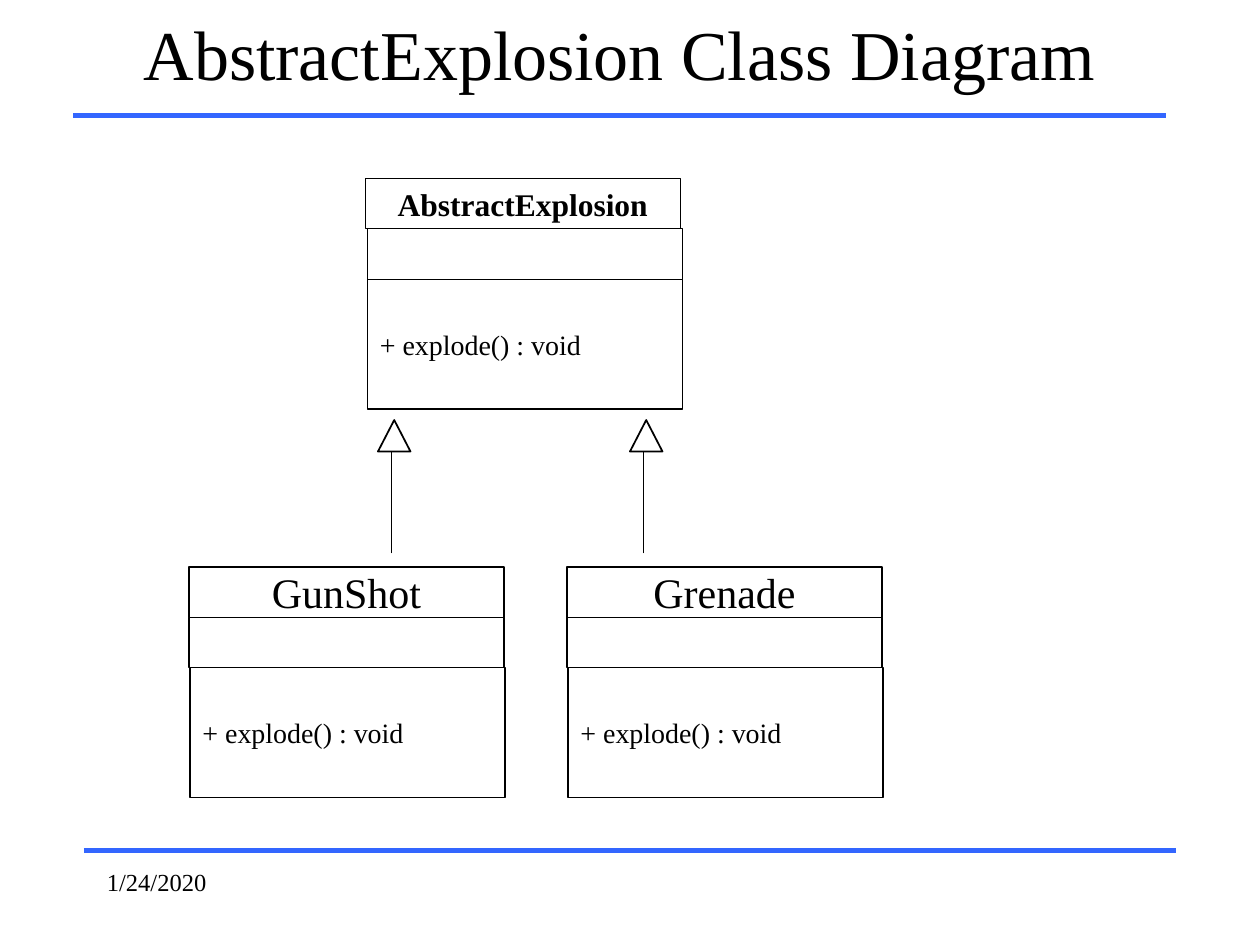
from dataclasses import dataclass

from lxml.etree import SubElement
from pptx import Presentation
from pptx.dml.color import RGBColor
from pptx.enum.shapes import MSO_CONNECTOR, MSO_SHAPE
from pptx.enum.text import MSO_ANCHOR, MSO_AUTO_SIZE, PP_ALIGN
from pptx.oxml.ns import qn
from pptx.util import Inches, Pt


@dataclass(frozen=True)
class Theme:
    font: str = "Times New Roman"
    ink: RGBColor = RGBColor(0x00, 0x00, 0x00)
    paper: RGBColor = RGBColor(0xFF, 0xFF, 0xFF)
    accent: RGBColor = RGBColor(0x33, 0x66, 0xFF)
    title_size: int = 40
    subclass_size: int = 24
    base_class_size: int = 18
    method_size: int = 16
    date_size: int = 14
    rule_width: float = 3
    box_width: float = 0.75
    head_width: float = 1
    shaft_width: float = 0.5


class ClassDiagram:
    """Draws on a grid of 120 columns by 90 rows."""

    COLUMNS, ROWS = 120, 90
    BOX_COLUMNS, NAME_ROWS, METHOD_ROWS = 30, 4.8, 12.36

    def __init__(self, deck, theme):
        self.theme = theme
        self.column = deck.slide_width / self.COLUMNS
        self.row = deck.slide_height / self.ROWS
        self.page = deck.slides.add_slide(deck.slide_layouts[5])

    def place(self, left, top, width, height):
        return (round(left * self.column), round(top * self.row),
                round(width * self.column), round(height * self.row))

    def add_text(self, shape, text, size, align=PP_ALIGN.LEFT,
                 anchor=MSO_ANCHOR.MIDDLE, bold=False, wrap=True):
        frame = shape.text_frame
        frame.auto_size = MSO_AUTO_SIZE.NONE
        frame.word_wrap = wrap
        frame.vertical_anchor = anchor
        para = frame.paragraphs[0]
        para.alignment = align
        span = para.add_run()
        span.text = text
        span.font.name = self.theme.font
        span.font.size = Pt(size)
        span.font.bold = bold
        span.font.color.rgb = self.theme.ink

    def title(self, text, *area):
        box = self.page.shapes.title
        box.left, box.top, box.width, box.height = self.place(*area)
        self.add_text(box, text, self.theme.title_size, PP_ALIGN.CENTER)

    def date(self, text, *area):
        box = self.page.shapes.add_textbox(*self.place(*area))
        self.add_text(box, text, self.theme.date_size, anchor=MSO_ANCHOR.TOP)

    def line(self, shapes, start, end, color, width):
        left, top, right, bottom = self.place(*start, *end)
        connector = shapes.add_connector(
            MSO_CONNECTOR.STRAIGHT, left, top, right, bottom)
        connector.line.color.rgb = color
        connector.line.width = Pt(width)
        SubElement(connector._element.spPr, qn("a:effectLst"))

    def rule(self, left, right, row):
        self.line(self.page.shapes, (left, row), (right, row),
                  self.theme.accent, self.theme.rule_width)

    def outline(self, shapes, kind, area, width):
        shape = shapes.add_shape(kind, *self.place(*area))
        shape.shadow.inherit = False
        shape.fill.solid()
        shape.fill.fore_color.rgb = self.theme.paper
        shape.line.color.rgb = self.theme.ink
        shape.line.width = Pt(width)
        return shape

    def class_box(self, name, method, left, top, size, bold=False,
                  attribute_inset=0, method_inset=0.1):
        shapes = self.page.shapes.add_group_shape().shapes
        compartments = (
            (0, self.NAME_ROWS, name, size, PP_ALIGN.CENTER, bold),
            (attribute_inset, self.NAME_ROWS, None, None, None, False),
            (method_inset, self.METHOD_ROWS, method,
             self.theme.method_size, PP_ALIGN.LEFT, False),
        )
        for inset, height, text, points, align, heavy in compartments:
            area = (left + inset, top, self.BOX_COLUMNS, height)
            box = self.outline(shapes, MSO_SHAPE.RECTANGLE, area,
                               self.theme.box_width)
            if text:
                self.add_text(box, text, points, align, bold=heavy, wrap=False)
            top += height

    def inheritance_arrow(self, left, top):
        shapes = self.page.shapes.add_group_shape().shapes
        shaft = left + 1.3
        self.line(shapes, (shaft, top + 12.7), (shaft, top + 1.7),
                  self.theme.ink, self.theme.shaft_width)
        self.outline(shapes, MSO_SHAPE.ISOSCELES_TRIANGLE,
                     (left, top, 3.1, 3), self.theme.head_width)


def main():
    deck = Presentation()
    deck.slide_width, deck.slide_height = Inches(10), Inches(7.5)
    theme = Theme()
    diagram = ClassDiagram(deck, theme)
    method = "+ explode() : void"

    # Page frame: rules, title and date
    diagram.rule(8, 112, 81)
    diagram.rule(7, 111, 11)
    diagram.title("AbstractExplosion Class Diagram", 7, 0, 104, 10)
    diagram.date("1/24/2020", 9, 82, 25, 6)

    # Base class
    diagram.class_box("AbstractExplosion", method, 34.8, 17,
                      theme.base_class_size, bold=True,
                      attribute_inset=0.2, method_inset=0.2)

    # Subclasses and their arrows to the base class
    for name, box_left, arrow_left in (("GunShot", 18, 36),
                                       ("Grenade", 54, 60)):
        diagram.class_box(name, method, box_left, 54, theme.subclass_size)
        diagram.inheritance_arrow(arrow_left, 40)

    deck.save("out.pptx")


if __name__ == "__main__":
    main()
